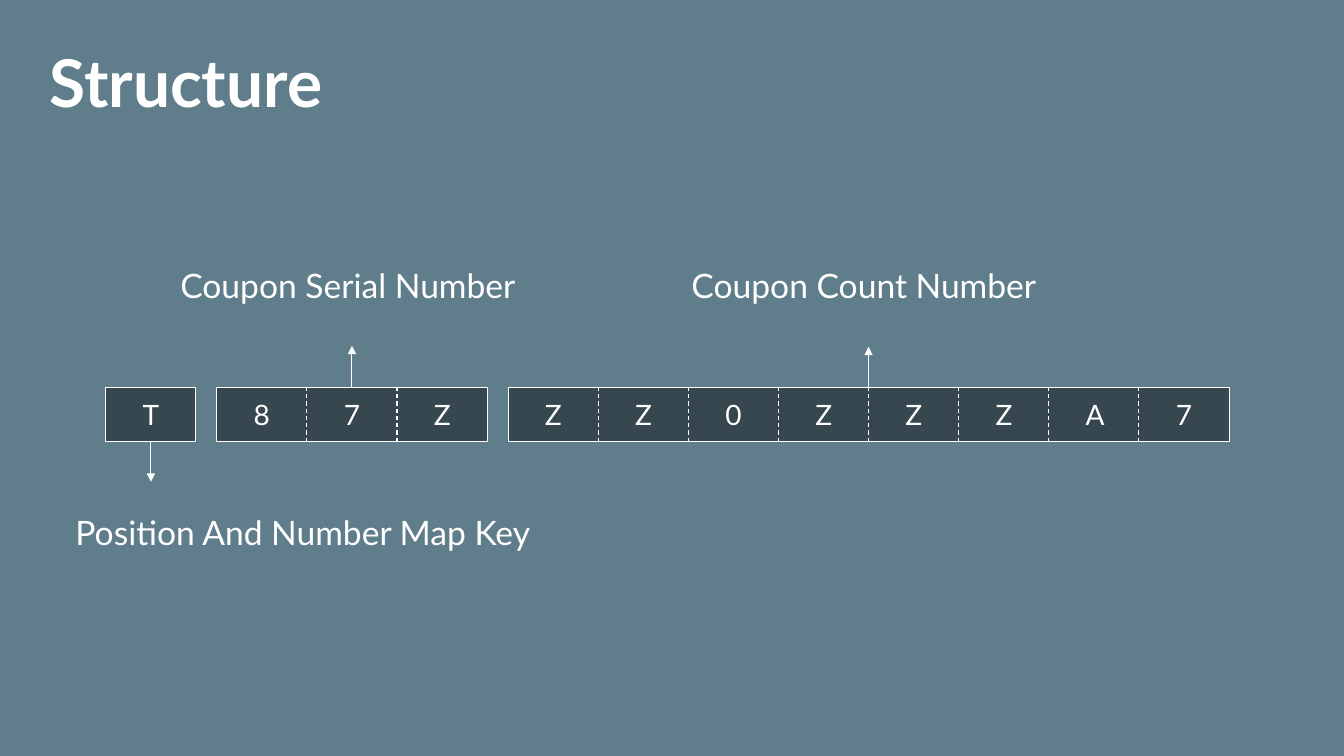
from dataclasses import dataclass

from lxml import etree
from pptx import Presentation
from pptx.dml.color import RGBColor
from pptx.enum.dml import MSO_LINE
from pptx.enum.shapes import MSO_CONNECTOR, MSO_SHAPE
from pptx.enum.text import MSO_ANCHOR, MSO_AUTO_SIZE, PP_ALIGN
from pptx.oxml.ns import qn
from pptx.shapes.connector import Connector
from pptx.slide import Slide
from pptx.text.text import TextFrame
from pptx.util import Inches, Pt

RECTANGLE = MSO_SHAPE.RECTANGLE
STRAIGHT = MSO_CONNECTOR.STRAIGHT
DASH = MSO_LINE.DASH
MIDDLE = MSO_ANCHOR.MIDDLE
LEFT, CENTER = PP_ALIGN.LEFT, PP_ALIGN.CENTER
GROW = MSO_AUTO_SIZE.SHAPE_TO_FIT_TEXT


@dataclass(frozen=True)
class Theme:
    font: str = "Lato"
    background: RGBColor = RGBColor(0x60, 0x7D, 0x8B)
    box: RGBColor = RGBColor(0x37, 0x47, 0x4F)
    light: RGBColor = RGBColor(0xFF, 0xFF, 0xFF)
    title_size: float = 47
    label_size: float = 24
    code_size: float = 20
    line_width: float = 0.75


@dataclass(frozen=True)
class CodeGroup:
    """One block of the coupon code, its arrow and its label."""
    left: float
    characters: str
    label: str
    label_left: float
    label_top: float
    label_width: float
    arrow_end: float


THEME = Theme()
ROW_TOP, ROW_HEIGHT = 3.84, 0.54
CELL_WIDTH = 7.15 / 8
LETTER_WIDTH, LETTER_HEIGHT = 0.36, 0.44
LABEL_HEIGHT = 0.5

GROUPS = [
    CodeGroup(1.05, "T", "Position And Number Map Key", 0.65, 5.03, 4.79, 4.78),
    CodeGroup(2.15, "87Z", "Coupon Serial Number", 1.69, 2.58, 3.6, 3.43),
    CodeGroup(5.04, "ZZ0ZZZA7", "Coupon Count Number", 6.76, 2.58, 3.7, 3.44),
]


def add_text(slide: Slide, text: str, left: float, top: float, width: float,
             height: float, size: float, alignment: PP_ALIGN = LEFT) -> TextFrame:
    """Add a one-line text box that grows with its text."""
    text_box = slide.shapes.add_textbox(
        Inches(left), Inches(top), Inches(width), Inches(height))
    text_frame = text_box.text_frame
    text_frame.text = text
    text_frame.word_wrap = False
    text_frame.auto_size = GROW
    paragraph = text_frame.paragraphs[0]
    paragraph.alignment = alignment
    font = paragraph.runs[0].font
    font.name = THEME.font
    font.size = Pt(size)
    font.color.rgb = THEME.light
    return text_frame


def add_title(slide: Slide, text: str) -> None:
    text_frame = add_text(slide, text, 0.29, 0.32, 12.74, 0.98, THEME.title_size)
    text_frame.auto_size = MSO_AUTO_SIZE.NONE
    text_frame.word_wrap = True
    text_frame.vertical_anchor = MIDDLE
    text_frame.margin_left = text_frame.margin_right = Inches(0.2)
    text_frame.paragraphs[0].runs[0].font.bold = True


def add_vertical_line(slide: Slide, x: float, start: float, end: float) -> Connector:
    connector = slide.shapes.add_connector(
        STRAIGHT, Inches(x), Inches(start), Inches(x), Inches(end))
    connector.line.color.rgb = THEME.light
    connector.line.width = Pt(THEME.line_width)
    etree.SubElement(connector._element.spPr, qn("a:effectLst"))
    return connector


def add_arrow(slide: Slide, x: float, start: float, end: float) -> None:
    connector = add_vertical_line(slide, x, start, end)
    line = connector.line._get_or_add_ln()
    etree.SubElement(line, qn("a:tailEnd"), type="triangle")


def add_group(slide: Slide, group: CodeGroup) -> None:
    count = len(group.characters)
    width = count * CELL_WIDTH
    row_bottom = ROW_TOP + ROW_HEIGHT

    # Box
    box = slide.shapes.add_shape(
        RECTANGLE, Inches(group.left), Inches(ROW_TOP), Inches(width), Inches(ROW_HEIGHT))
    box.shadow.inherit = False
    box.fill.solid()
    box.fill.fore_color.rgb = THEME.box
    box.line.color.rgb = THEME.light
    box.line.width = Pt(THEME.line_width)

    # Dashed dividers between the cells
    for index in range(1, count):
        divider = add_vertical_line(
            slide, group.left + index * CELL_WIDTH, ROW_TOP, row_bottom)
        divider.line.dash_style = DASH

    # Characters, centred in their cells
    letter_top = ROW_TOP + (ROW_HEIGHT - LETTER_HEIGHT) / 2
    for index, character in enumerate(group.characters):
        letter_left = group.left + (index + 0.5) * CELL_WIDTH - LETTER_WIDTH / 2
        add_text(slide, character, letter_left, letter_top,
                 LETTER_WIDTH, LETTER_HEIGHT, THEME.code_size, CENTER)

    # Arrow from the box to its label
    arrow_start = row_bottom if group.arrow_end > row_bottom else ROW_TOP
    add_arrow(slide, group.left + width / 2, arrow_start, group.arrow_end)
    add_text(slide, group.label, group.label_left, group.label_top,
             group.label_width, LABEL_HEIGHT, THEME.label_size)


def main() -> None:
    presentation = Presentation()
    presentation.slide_width = Inches(13.33)
    presentation.slide_height = Inches(7.5)
    slide = presentation.slides.add_slide(presentation.slide_layouts[6])
    slide.background.fill.solid()
    slide.background.fill.fore_color.rgb = THEME.background

    add_title(slide, "Structure")
    for group in GROUPS:
        add_group(slide, group)

    presentation.save("out.pptx")


if __name__ == "__main__":
    main()
